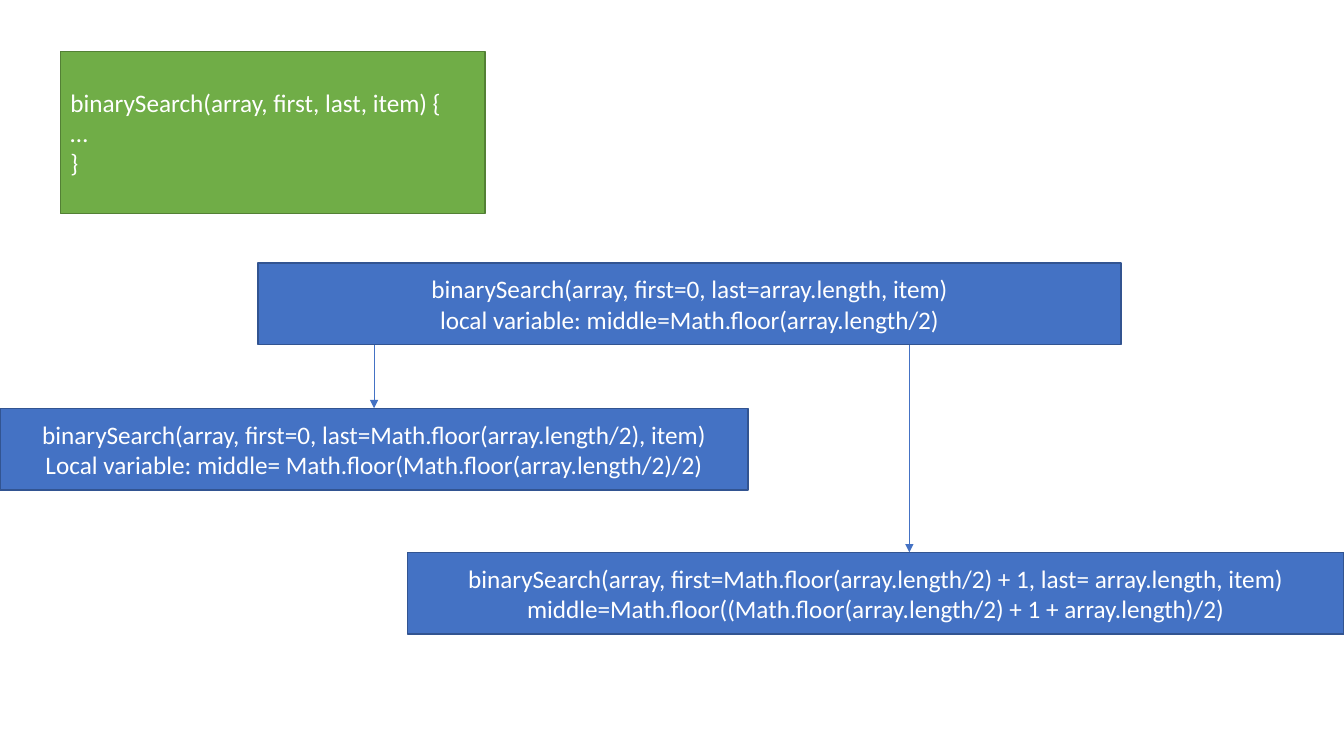
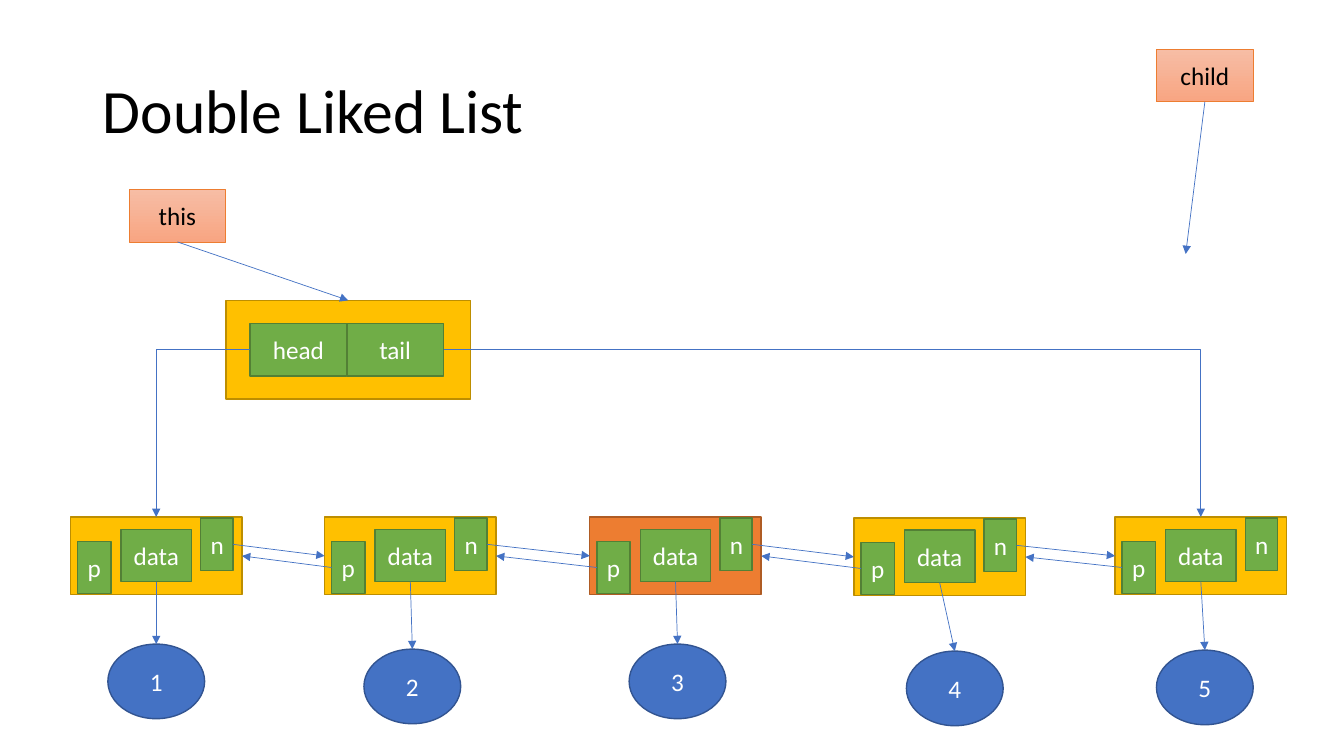
from lxml.etree import SubElement
from pptx import Presentation
from pptx.dml.color import RGBColor
from pptx.enum.shapes import MSO_CONNECTOR as Link, MSO_SHAPE as Preset
from pptx.enum.text import MSO_ANCHOR as Anchor, PP_ALIGN as Align
from pptx.oxml.ns import qn
from pptx.util import Inches, Pt

# Shared look
COLORS = {"white": "FFFFFF", "black": "000000", "link": "4472C4"}
STYLES = {  # fill (two colours make a gradient), line, line width, text
    "blue": (["4472C4"], "325491", 1, "white"),
    "green": (["70AD47"], "538035", 1, "white"),
    "gold": (["FFC000"], "BD8E00", 1, "white"),
    "orange": (["ED7D31"], "AF5C24", 1, "white"),
    "peach": (["F7BDA5", "F8A582"], "ED7D31", 0.5, "black"),
}
BODY_FONT = {"name": "Calibri", "size": Pt(18)}
TITLE_FONT = {"name": "Calibri", "size": Pt(44)}
TOP, LEFT, BOTTOM, RIGHT = range(4)  # connection sites of a rectangle

# Slide 1 content: style, place, alignment, lines
CALLS = [
    ("green", (0.6, 0.51, 4.21, 1.61), Align.LEFT,
     ["binarySearch(array, first, last, item) {", "…", "}"]),
    ("blue", (2.56, 2.61, 8.56, 0.81), Align.CENTER,
     ["binarySearch(array, first=0, last=array.length, item)",
      "local variable: middle=Math.floor(array.length/2)"]),
    ("blue", (0, 4.05, 7.42, 0.81), Align.CENTER,
     ["binarySearch(array, first=0, last=Math.floor(array.length/2), item)",
      "Local variable: middle= Math.floor(Math.floor(array.length/2)/2)"]),
    ("blue", (4.04, 5.48, 9.29, 0.81), Align.CENTER,
     ["binarySearch(array, first=Math.floor(array.length/2) + 1, last= array.length, item)",
      "middle=Math.floor((Math.floor(array.length/2) + 1 + array.length)/2)"]),
]
CALL_ARROWS = [(3.71, 2), (9.02, 3)]  # x, index of the called box

# Slide 2 content
TITLE = "Double Liked List"
NODES = [  # value, style, node left and top, value left and top
    ("1", "gold", (0.7, 5.13), (1.07, 6.39)),
    ("2", "gold", (3.22, 5.13), (3.61, 6.44)),
    ("3", "orange", (5.85, 5.13), (6.24, 6.39)),
    ("4", "gold", (8.47, 5.14), (8.99, 6.46)),
    ("5", "gold", (11.06, 5.13), (11.47, 6.45)),
]
NODE_SIZE = (1.7, 0.77)
VALUE_SIZE = (0.96, 0.74)
LABEL_SIZE = (0.96, 0.52)
FIELDS = {  # offset inside the node, size
    "data": (0.5, 0.12, 0.7, 0.52),
    "n": (1.29, 0.01, 0.32, 0.52),
    "p": (0.07, 0.24, 0.33, 0.52),
}


def rgb(value):
    return RGBColor.from_string(COLORS.get(value, value))


def write(text_frame, lines, font, color, align):
    text_frame.word_wrap = True
    text_frame.vertical_anchor = Anchor.MIDDLE
    for index, line in enumerate(lines):
        paragraph = text_frame.paragraphs[0] if index == 0 else text_frame.add_paragraph()
        paragraph.alignment = align
        run = paragraph.add_run()
        run.text = line
        for name, value in font.items():
            setattr(run.font, name, value)
        run.font.color.rgb = rgb(color)


def add_box(shapes, style, place, lines=(), align=Align.CENTER, preset=Preset.RECTANGLE):
    fills, line_color, line_width, text_color = STYLES[style]
    shape = shapes.add_shape(preset, *map(Inches, place))
    shape.shadow.inherit = False
    if len(fills) == 1:
        shape.fill.solid()
        shape.fill.fore_color.rgb = rgb(fills[0])
    else:
        shape.fill.gradient()
        shape.fill.gradient_angle = 270
        for position, (stop, color) in enumerate(zip(shape.fill.gradient_stops, fills)):
            stop.position = position
            stop.color.rgb = rgb(color)
    shape.line.color.rgb = rgb(line_color)
    shape.line.width = Pt(line_width)
    write(shape.text_frame, lines, BODY_FONT, text_color, align)
    return shape


def add_arrow(slide, start, end, bent=False):
    kind = Link.ELBOW if bent else Link.STRAIGHT
    arrow = slide.shapes.add_connector(kind, *start, *end)
    arrow.line.color.rgb = rgb("link")
    arrow.line.width = Pt(0.5)
    properties = arrow._element.spPr
    if bent:  # a single corner
        properties.find(qn("a:prstGeom")).set("prst", "bentConnector2")
    SubElement(properties.find(qn("a:ln")), qn("a:tailEnd"), type="triangle")
    SubElement(properties, qn("a:effectLst"))
    return arrow


def site_point(shape, site):
    across, down = {TOP: (1, 0), LEFT: (0, 1), BOTTOM: (1, 2), RIGHT: (2, 1)}[site]
    return shape.left + shape.width * across // 2, shape.top + shape.height * down // 2


def join(slide, source, source_site, target, target_site, bent=False):
    arrow = add_arrow(slide, site_point(source, source_site),
                      site_point(target, target_site), bent)
    arrow.begin_connect(source, source_site)
    arrow.end_connect(target, target_site)


def add_node(slide, style, left, top):
    shapes = slide.shapes.add_group_shape().shapes
    parts = {"node": add_box(shapes, style, (left, top, *NODE_SIZE))}
    for name, (right, down, width, height) in FIELDS.items():
        parts[name] = add_box(shapes, "green", (left + right, top + down, width, height), [name])
    return parts


def build_search_slide(slide):
    boxes = [add_box(slide.shapes, style, place, lines, align)
             for style, place, align, lines in CALLS]
    caller_bottom = boxes[1].top + boxes[1].height
    for x, called in CALL_ARROWS:
        add_arrow(slide, (Inches(x), caller_bottom), (Inches(x), boxes[called].top))


def build_list_slide(slide):
    # Nodes with their values
    nodes = []
    for value, style, node_place, value_place in NODES:
        node = add_node(slide, style, *node_place)
        circle = add_box(slide.shapes, "blue", (*value_place, *VALUE_SIZE), [value],
                         preset=Preset.OVAL)
        join(slide, node["data"], BOTTOM, circle, TOP)
        nodes.append(node)

    # Next and previous arrows
    for current, following in zip(nodes, nodes[1:]):
        join(slide, current["n"], RIGHT, following["node"], LEFT)
        join(slide, following["p"], LEFT, current["node"], RIGHT)

    # Title
    title = slide.shapes.add_textbox(*map(Inches, (0.92, 0.4, 11.5, 1.45)))
    write(title.text_frame, [TITLE], TITLE_FONT, "black", Align.LEFT)
    title.text_frame.paragraphs[0].line_spacing = 0.9

    # List object with head and tail
    shapes = slide.shapes.add_group_shape().shapes
    list_box = add_box(shapes, "gold", (2.24, 2.98, 2.43, 0.98))
    head, tail = [add_box(shapes, "green", (2.48 + index * LABEL_SIZE[0], 3.21, *LABEL_SIZE), [name])
                  for index, name in enumerate(["head", "tail"])]
    join(slide, head, LEFT, nodes[0]["node"], TOP, bent=True)
    join(slide, tail, RIGHT, nodes[-1]["node"], TOP, bent=True)

    # Variables
    this = add_box(slide.shapes, "peach", (1.28, 1.88, *LABEL_SIZE), ["this"])
    child = add_box(slide.shapes, "peach", (11.47, 0.49, *LABEL_SIZE), ["child"])
    join(slide, this, BOTTOM, list_box, TOP)
    add_arrow(slide, site_point(child, BOTTOM), (Inches(11.76), Inches(2.52)))


def main():
    presentation = Presentation()
    presentation.slide_width, presentation.slide_height = Inches(13.33), Inches(7.5)
    for build in (build_search_slide, build_list_slide):
        build(presentation.slides.add_slide(presentation.slide_layouts[6]))
    presentation.save("out.pptx")


if __name__ == "__main__":
    main()
